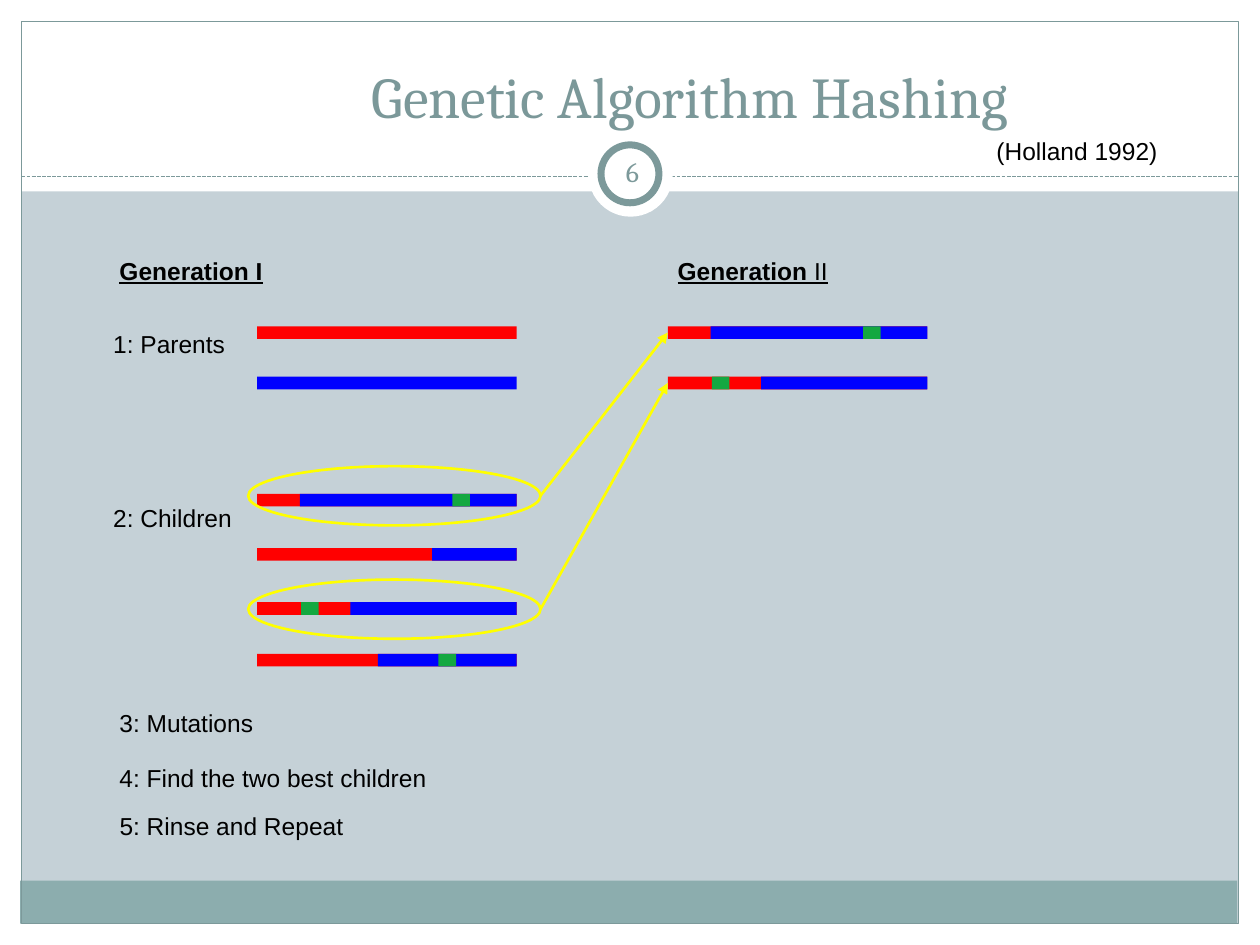
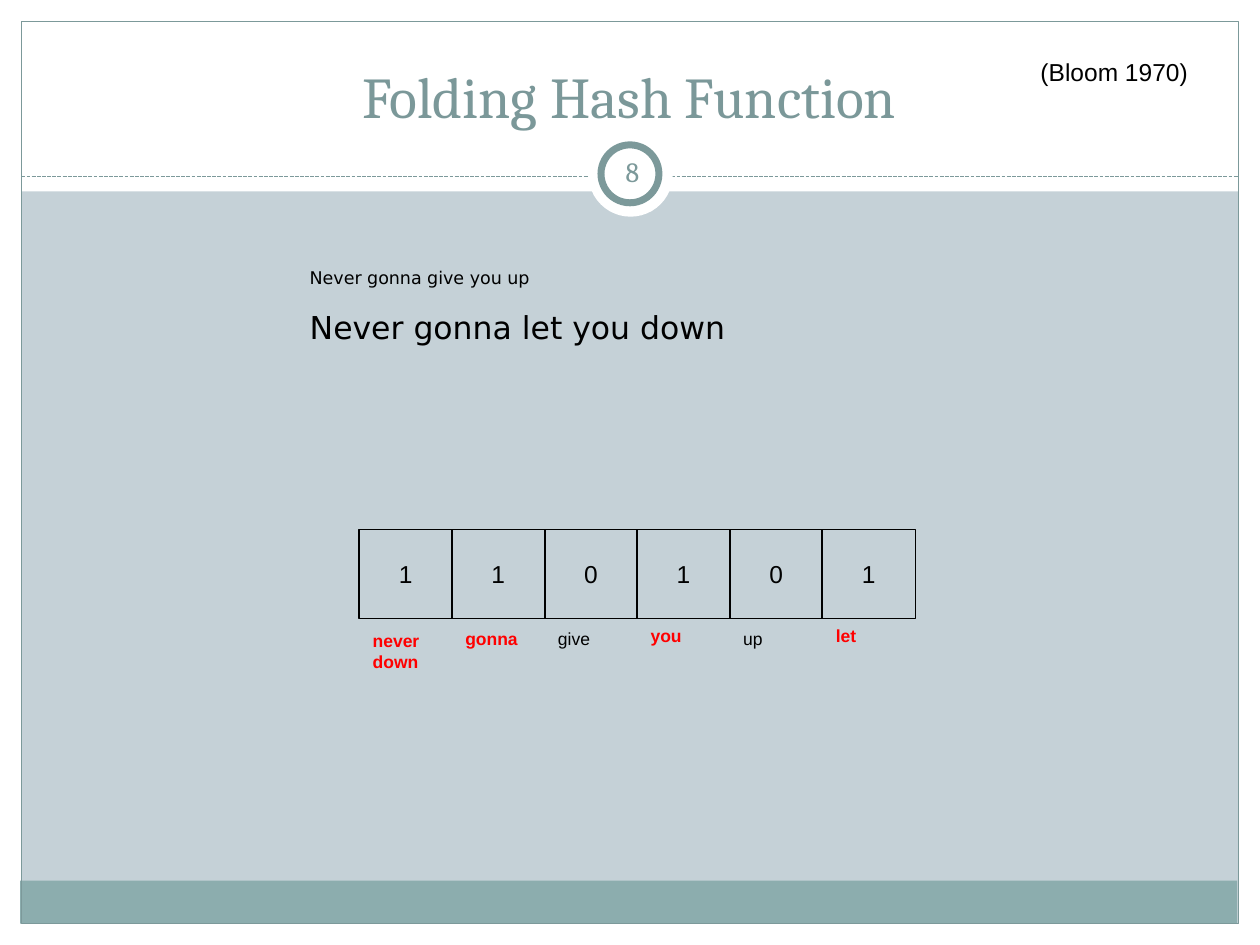
from lxml.etree import SubElement
from pptx import Presentation
from pptx.dml.color import RGBColor
from pptx.enum.dml import MSO_LINE
from pptx.enum.shapes import MSO_CONNECTOR, MSO_SHAPE
from pptx.enum.text import MSO_ANCHOR, PP_ALIGN
from pptx.oxml.ns import qn
from pptx.util import Inches, Pt

COLORS = {
    "background": "C5D1D7", "white": "FFFFFF", "band": "8CADAE",
    "frame": "7C999A", "title": "7B9899", "black": "000000",
    "red": "FF0000", "blue": "0000FF", "green": "14A841", "yellow": "FFFF00",
}
MARGINS = [(0, 7.33, 10, 0.17), (0, 0, 10, 1.52), (0, 0, 0.17, 7.5), (9.83, 0, 0.17, 7.5)]
INSET = (0.1, 0.1, 0.1, 0.1)
HEADING = {"bold": True, "underline": True}

GENETIC_LABELS = [
    (0.85, 1.93, 4, [("Generation I", HEADING)]),
    (5.28, 1.93, 4, [("Generation", HEADING), (" II", {"underline": True})]),
    (0.8, 2.51, 1.53, [("1: Parents", {})]),
    (0.8, 3.89, 1.53, [("2: Children", {})]),
    (0.85, 5.52, 1.53, [("3: Mutations", {})]),
    (0.85, 5.96, 2.74, [("4: Find the two best children", {})]),
    (0.85, 6.34, 2.29, [("5: Rinse and Repeat", {})]),
]
GEN_1_LEFT, GEN_2_LEFT = 2.04, 5.3
BAR_W, BAR_H, MUTATION_W = 2.06, 0.1, 0.14
PARENTS = [(2.59, "red"), (2.99, "blue")]
CHILDREN = [
    {"top": 3.92, "cut": 0.34, "mutation": 1.55, "ring": 3.7},
    {"top": 4.35, "cut": 1.39},
    {"top": 4.78, "cut": 0.74, "mutation": 0.35, "ring": 4.6},
    {"top": 5.19, "cut": 0.96, "mutation": 1.44},
]
RING_LEFT, RING_W, RING_H = 1.97, 2.32, 0.47

HASH_TABLE = [
    ("1", ["never", "down"], 4.9, True),
    ("1", ["gonna"], 4.9, True),
    ("0", ["give"], 4.9, False),
    ("1", ["you"], 4.88, True),
    ("0", ["up"], 4.9, False),
    ("1", ["let"], 4.88, True),
]
CELL_LEFT, CELL_TOP, CELL_PITCH, CELL_W, CELL_H = 2.85, 4.2, 0.735, 0.74, 0.71
LYRICS = [("Never gonna give you up", 10), ("Never gonna let you down", 18)]


def rgb(name):
    return RGBColor.from_string(COLORS[name])


def add_run(p, text, size=14, color="black", font="Arial", bold=False, underline=False):
    r = p.add_run()
    r.text = text
    r.font.size = Pt(size)
    r.font.name = font
    r.font.bold = bold
    r.font.underline = underline
    r.font.color.rgb = rgb(color)


def set_frame(sp, inset=INSET, anchor=MSO_ANCHOR.TOP, align=PP_ALIGN.LEFT):
    tf = sp.text_frame
    tf.word_wrap = True
    tf.vertical_anchor = anchor
    tf.margin_left, tf.margin_top, tf.margin_right, tf.margin_bottom = map(Inches, inset)
    tf.paragraphs[0].alignment = align
    return tf


def add_text(s, box, **frame):
    return set_frame(s.shapes.add_textbox(*map(Inches, box)), **frame)


def add_shape(s, box, fill=None, line=None, width=0.75, kind=MSO_SHAPE.RECTANGLE):
    sp = s.shapes.add_shape(kind, *map(Inches, box))
    sp.shadow.inherit = False
    if fill:
        sp.fill.solid()
        sp.fill.fore_color.rgb = rgb(fill)
    else:
        sp.fill.background()
    if line:
        sp.line.color.rgb = rgb(line)
        sp.line.width = Pt(width)
    else:
        sp.line.fill.background()
    return sp


def add_line(s, start, end, color, width):
    c = s.shapes.add_connector(MSO_CONNECTOR.STRAIGHT, *map(Inches, start + end))
    c.line.color.rgb = rgb(color)
    c.line.width = Pt(width)
    SubElement(c._element.spPr, qn("a:effectLst"))
    return c


def add_arrow(s, start, end):
    c = add_line(s, start, end, "yellow", 1.5)
    SubElement(c.line._get_or_add_ln(), qn("a:tailEnd"), type="triangle")


def new_slide(prs, title, number, title_indent=0):
    s = prs.slides.add_slide(prs.slide_layouts[6])
    s.background.fill.solid()
    s.background.fill.fore_color.rgb = rgb("background")
    for box in MARGINS:
        add_shape(s, box, "white")
    add_shape(s, (0.16, 6.99, 9.66, 0.34), "band")
    add_shape(s, (0.17, 0.17, 9.66, 7.16), line="frame")
    add_line(s, (0.17, 1.4), (9.83, 1.4), "frame", 0.75).line.dash_style = MSO_LINE.SQUARE_DOT
    add_shape(s, (4.67, 1.05, 0.67, 0.67), "white", kind=MSO_SHAPE.OVAL)
    add_shape(s, (4.77, 1.15, 0.46, 0.46), "white", "frame", 4, MSO_SHAPE.OVAL)
    tf = add_text(s, (0.33, 0.25, 9.33, 0.83), inset=(0.1 + title_indent, 0.05, 0.1, 0.05),
                  anchor=MSO_ANCHOR.BOTTOM, align=PP_ALIGN.CENTER)
    add_run(tf.paragraphs[0], title, 33, "title", "Cambria")
    tf = add_text(s, (4.77, 1.12, 0.5, 0.48), inset=(0.05,) * 4,
                  anchor=MSO_ANCHOR.MIDDLE, align=PP_ALIGN.CENTER)
    add_run(tf.paragraphs[0], number, 16, "frame", "Cambria")
    return s


def add_child(s, left, top, child):
    cut = child["cut"]
    add_shape(s, (left, top, BAR_W, BAR_H), "red")
    add_shape(s, (left + cut, top, BAR_W - cut, BAR_H), "blue")
    if "mutation" in child:
        add_shape(s, (left + child["mutation"], top, MUTATION_W, BAR_H), "green")


def genetic_slide(prs):
    s = new_slide(prs, "Genetic Algorithm Hashing", "6", title_indent=0.96)
    for left, top, width, runs in GENETIC_LABELS:
        p = add_text(s, (left, top, width, 0.5)).paragraphs[0]
        for text, style in runs:
            add_run(p, text, **style)
    for top, color in PARENTS:
        add_shape(s, (GEN_1_LEFT, top, BAR_W, BAR_H), color)
    for child in CHILDREN:
        add_child(s, GEN_1_LEFT, child["top"], child)
    best = [child for child in CHILDREN if "ring" in child]
    for child, (top, _) in zip(best, PARENTS):
        ring = child["ring"]
        add_child(s, GEN_2_LEFT, top, child)
        add_shape(s, (RING_LEFT, ring, RING_W, RING_H), line="yellow", width=1.5, kind=MSO_SHAPE.OVAL)
        add_arrow(s, (RING_LEFT + RING_W, ring + RING_H / 2), (GEN_2_LEFT, top + BAR_H / 2))
    tf = add_text(s, (7.81, 1.03, 2.02, 0.34), inset=(0.1, 0.05, 0.1, 0.05))
    add_run(tf.paragraphs[0], "(Holland 1992)")


def folding_slide(prs):
    s = new_slide(prs, "Folding Hash Function", "8")
    for i, (bit, words, top, hit) in enumerate(HASH_TABLE):
        left = CELL_LEFT + i * CELL_PITCH
        sp = add_shape(s, (left, CELL_TOP, CELL_W, CELL_H), line="black")
        tf = set_frame(sp, anchor=MSO_ANCHOR.MIDDLE, align=PP_ALIGN.CENTER)
        add_run(tf.paragraphs[0], bit)
        tf = add_text(s, (left + 0.01, top, 0.95, 0.45))
        for j, word in enumerate(words):
            p = tf.add_paragraph() if j else tf.paragraphs[0]
            add_run(p, word, 10, "red" if hit else "black", bold=hit)
    tf = add_text(s, (2.36, 2.02, 4, 0.5))
    for j, (text, size) in enumerate(LYRICS):
        p = tf.paragraphs[0]
        if j:
            p = tf.add_paragraph()
            p.space_before = Pt(11.6)
        add_run(p, text, size, font="DejaVu Sans")
    tf = add_text(s, (8.16, 0.35, 1.5, 0.5))
    add_run(tf.paragraphs[0], "(Bloom 1970)")


def main():
    prs = Presentation()
    prs.slide_width, prs.slide_height = Inches(10), Inches(7.5)
    genetic_slide(prs)
    folding_slide(prs)
    prs.save("out.pptx")


if __name__ == "__main__":
    main()
